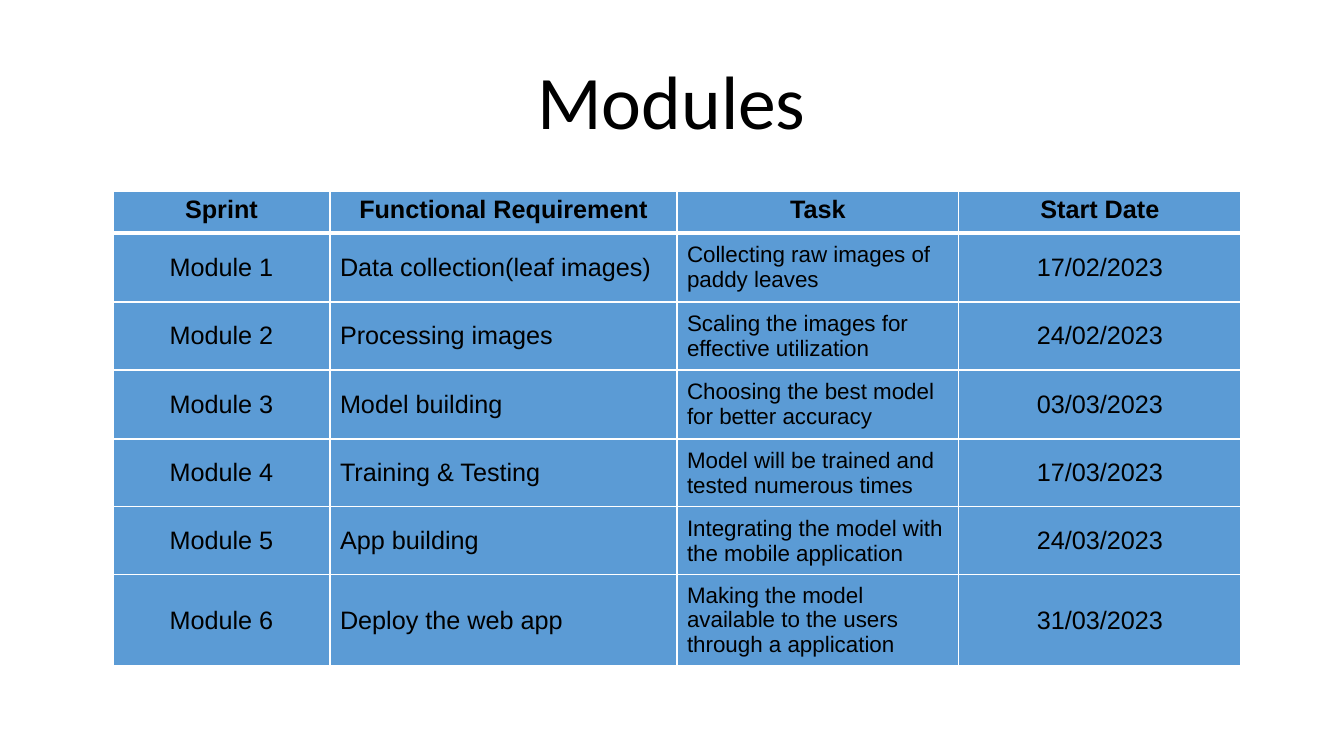
from lxml import etree
from pptx import Presentation
from pptx.dml.color import RGBColor
from pptx.enum.text import MSO_ANCHOR, PP_ALIGN
from pptx.oxml.ns import qn
from pptx.util import Pt

SCALE = 914400 / 100.8
COLORS = {"text": "000000", "cell": "5B9BD5", "border": "FFFFFF"}
HEADERS = ["Sprint", "Functional Requirement", "Task", "Start Date"]
MODULES = [
    ("Data collection(leaf images)", "Collecting raw images of paddy leaves", "17/02/2023"),
    ("Processing images", "Scaling the images for effective utilization", "24/02/2023"),
    ("Model building", "Choosing the best model for better accuracy", "03/03/2023"),
    ("Training & Testing", "Model will be trained and tested numerous times", "17/03/2023"),
    ("App building", "Integrating the model with the mobile application", "24/03/2023"),
    ("Deploy the web app", "Making the model available to the users through a application", "31/03/2023"),
]
COL_WIDTHS = [217, 347, 282, 282]
ROW_HEIGHTS = [42, 69, 68, 69, 68, 68, 84]
COL_ALIGNS = [PP_ALIGN.CENTER, PP_ALIGN.LEFT, PP_ALIGN.LEFT, PP_ALIGN.CENTER]
COL_SIZES = [18, 18, 16, 18]


def px(*values):
    return [round(v * SCALE) for v in values]


def add_run(p, text, font, size, bold=False):
    r = p.add_run()
    r.text = text
    r.font.name = font
    r.font.size = Pt(size)
    r.font.bold = bold
    r.font.color.rgb = RGBColor.from_string(COLORS["text"])


prs = Presentation()
prs.slide_width, prs.slide_height = px(1344, 756)
s = prs.slides.add_slide(prs.slide_layouts[6])

tf = s.shapes.add_textbox(*px(92, 49, 1159, 111)).text_frame
tf.word_wrap = True
tf.vertical_anchor = MSO_ANCHOR.MIDDLE
p = tf.paragraphs[0]
p.alignment = PP_ALIGN.CENTER
p.line_spacing = 0.9
add_run(p, "Modules", "Calibri", 54)

rows = [HEADERS] + [(f"Module {i}", *module) for i, module in enumerate(MODULES, 1)]
size = px(113, 191, sum(COL_WIDTHS), sum(ROW_HEIGHTS))
table = s.shapes.add_table(len(rows), len(HEADERS), *size).table
for column, width in zip(table.columns, px(*COL_WIDTHS)):
    column.width = width
for row, height in zip(table.rows, px(*ROW_HEIGHTS)):
    row.height = height

for i, texts in enumerate(rows):
    header = i == 0
    for j, text in enumerate(texts):
        cell = table.cell(i, j)
        cell.vertical_anchor = MSO_ANCHOR.TOP if header else MSO_ANCHOR.MIDDLE
        cell.fill.solid()
        cell.fill.fore_color.rgb = RGBColor.from_string(COLORS["cell"])
        p = cell.text_frame.paragraphs[0]
        p.alignment = PP_ALIGN.CENTER if header else COL_ALIGNS[j]
        add_run(p, text, "Arial", 18 if header else COL_SIZES[j], header)
        tcPr = cell._tc.get_or_add_tcPr()
        for k, side in enumerate("LRTB"):
            thick = (i, side) in [(0, "B"), (1, "T")]
            ln = etree.Element(qn(f"a:ln{side}"), w=str(Pt(3 if thick else 1)))
            fill = etree.SubElement(ln, qn("a:solidFill"))
            etree.SubElement(fill, qn("a:srgbClr"), val=COLORS["border"])
            tcPr.insert(k, ln)

prs.save("out.pptx")
